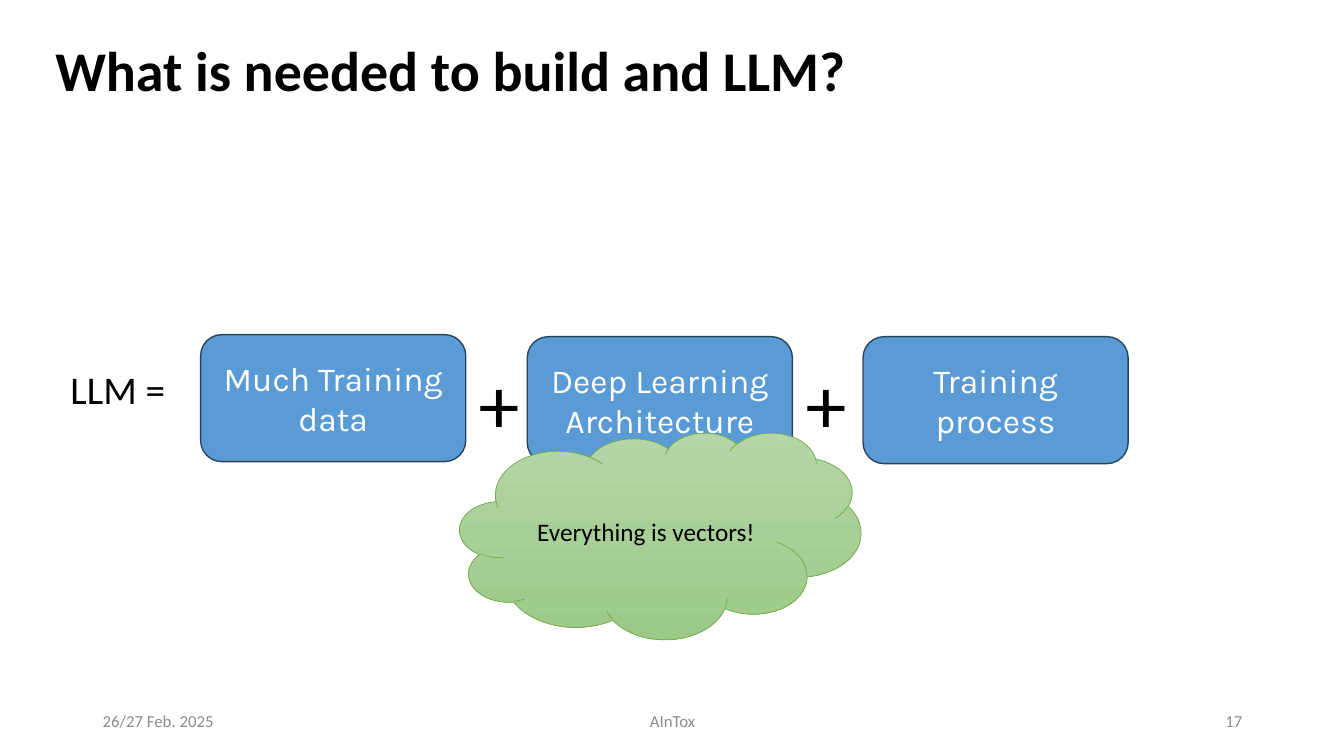
from pptx import Presentation
from pptx.dml.color import RGBColor
from pptx.enum.shapes import MSO_SHAPE
from pptx.enum.text import MSO_ANCHOR, PP_ALIGN
from pptx.util import Inches, Pt

COLORS = {
    "black": "000000",
    "white": "FFFFFF",
    "grey": "8C8C8C",
    "blue": "5B9BD5",
    "navy": "28445D",
    "green": "70AD47",
    "cloud_top": "B5D5A7",
    "cloud_bottom": "9CC987",
}


def rgb(name):
    return RGBColor.from_string(COLORS[name])


def write(sp, text, size, color="black", font="Calibri", bold=False,
          align=PP_ALIGN.LEFT, anchor=MSO_ANCHOR.MIDDLE, spacing=None, wrap=True):
    tf = sp.text_frame
    tf.word_wrap = wrap
    tf.vertical_anchor = anchor
    p = tf.paragraphs[0]
    p.alignment = align
    if spacing:
        p.line_spacing = spacing
    r = p.add_run()
    r.text = text
    r.font.size = Pt(size)
    r.font.name = font
    r.font.bold = bold
    r.font.color.rgb = rgb(color)


def add_text(s, box, text, size, **style):
    sp = s.shapes.add_textbox(*map(Inches, box))
    write(sp, text, size, **style)


def add_outlined(s, kind, box, line, width):
    sp = s.shapes.add_shape(kind, *map(Inches, box))
    sp.shadow.inherit = False
    sp.line.color.rgb = rgb(line)
    sp.line.width = Pt(width)
    return sp


def add_ingredient(s, left, top, text):
    sp = add_outlined(s, MSO_SHAPE.ROUNDED_RECTANGLE, (left, top, 2.63, 1.26), "navy", 1)
    sp.fill.solid()
    sp.fill.fore_color.rgb = rgb("blue")
    write(sp, text, 24, color="white", font="Karla", align=PP_ALIGN.CENTER)


def add_cloud(s, box, text):
    sp = add_outlined(s, MSO_SHAPE.CLOUD, box, "green", 0.5)
    sp.fill.gradient()
    sp.fill.gradient_angle = 270
    for stop, name in zip(sp.fill.gradient_stops, ("cloud_top", "cloud_bottom")):
        stop.color.rgb = rgb(name)
    write(sp, text, 18, align=PP_ALIGN.CENTER)


def main():
    prs = Presentation()
    prs.slide_width = Inches(13.33)
    prs.slide_height = Inches(7.5)
    s = prs.slides.add_slide(prs.slide_layouts[6])

    add_text(s, (0.45, 0, 11.5, 1.45), "What is needed to build and LLM?", 40,
             bold=True, spacing=0.9)
    add_text(s, (0.6, 3.63, 1.61, 1.63), "LLM =", 28,
             anchor=MSO_ANCHOR.TOP, spacing=0.9)

    for left, top, text in (
        (1.99, 3.32, "Much Training data"),
        (5.23, 3.34, "Deep Learning Architecture"),
        (8.56, 3.34, "Training process"),
    ):
        add_ingredient(s, left, top, text)
    for left in (4.66, 7.9):
        add_text(s, (left, 3.44, 0.61, 1.01), "+", 54, font="Karla",
                 anchor=MSO_ANCHOR.TOP, wrap=False)

    for left, width, text, align in (
        (0.92, 3, "26/27 Feb. 2025", PP_ALIGN.LEFT),
        (4.42, 4.5, "AInTox", PP_ALIGN.CENTER),
        (9.42, 3, "17", PP_ALIGN.RIGHT),
    ):
        add_text(s, (left, 6.95, width, 0.4), text, 12, color="grey", align=align)

    add_cloud(s, (4.56, 4.29, 3.98, 2.05), "Everything is vectors!")
    prs.save("out.pptx")


if __name__ == "__main__":
    main()
